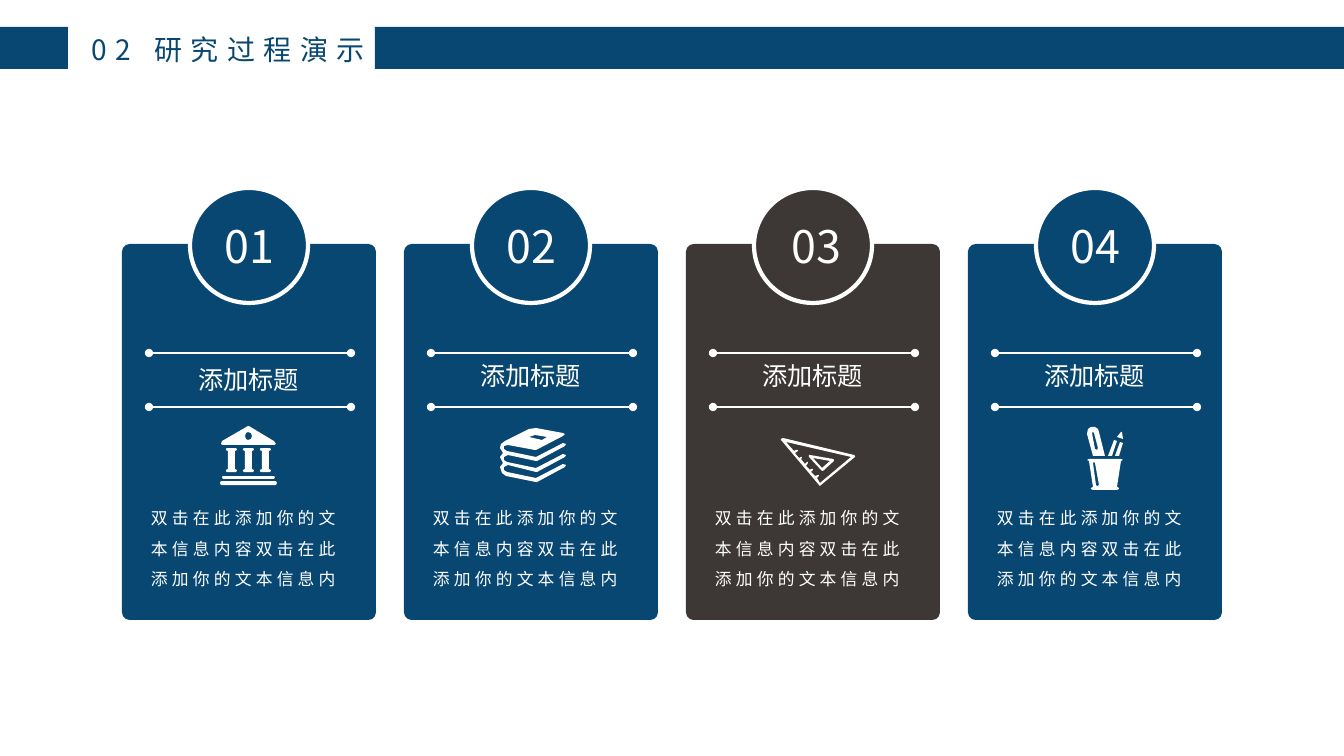
import dataclasses

import pptx
import pptx.dml.color
import pptx.enum.dml
import pptx.enum.shapes
import pptx.enum.text
import pptx.oxml.ns
import pptx.util
from lxml import etree

SLIDE_WIDTH, SLIDE_HEIGHT = 1344, 756
EMU_PER_PX = 12192000 / SLIDE_WIDTH
RGB = pptx.dml.color.RGBColor.from_string
SHAPE = pptx.enum.shapes.MSO_SHAPE
ALIGN = pptx.enum.text.PP_ALIGN
ANCHOR = pptx.enum.text.MSO_ANCHOR


@dataclasses.dataclass(frozen=True)
class Theme:
    blue: str = "084772"
    brown: str = "3D3836"
    white: str = "FFFFFF"
    font: str = "Noto Sans CJK SC"
    header_size: int = 20
    number_size: int = 32
    title_size: int = 18
    body_size: int = 12
    rule_width: float = 1.5
    ring_width: int = 3


THEME = Theme()
BODY = "双击在此添加你的文本信息内容双击在此添加你的文本信息内"


def shifted(outline, dx):
    return [(x + dx, y) for x, y in outline]


def slab(left, top, right, bottom):
    middle = (top + bottom) / 2
    return [(left, middle), (left + 1, top), (right - 1, top),
            (right, middle), (right - 1, bottom), (left + 1, bottom)]


COLUMN = [(0, 24), (1, 23), (10, 23), (11, 24), (11, 25), (9, 26), (9, 44), (11, 45),
          (11, 46), (10, 47), (1, 47), (0, 46), (0, 45), (2, 44), (2, 26), (0, 25)]
BANK = [
    slab(0, 56, 57, 60),
    slab(2, 51, 55, 54),
    [(1, 19), (2, 16), (28, 1), (29, 1), (54, 16), (56, 19), (54, 20), (3, 20)],
    [(25, 11), (26, 8), (28, 7), (31, 8), (32, 11), (31, 14), (28, 15), (26, 14)],
    *[shifted(COLUMN, dx) for dx in (6, 23, 40)],
]
BOOKS = [
    [(36, 44), (37, 44), (65, 29), (66, 27), (63, 26), (36, 40), (7, 34), (4, 32),
     (4, 29), (8, 27), (36, 33), (37, 33), (65, 18), (66, 16), (63, 15), (36, 29),
     (7, 23), (4, 21), (4, 18), (8, 17), (35, 22), (36, 22), (63, 8), (65, 6),
     (63, 5), (36, 0), (29, 1), (5, 13), (1, 16), (0, 20), (3, 25), (0, 29),
     (3, 35), (0, 39), (2, 45), (6, 48), (36, 54), (37, 54), (65, 39), (66, 37),
     (63, 36), (36, 50), (7, 44), (4, 42), (4, 39), (8, 37)],
    [(35, 7), (47, 9), (42, 12), (29, 9)],
]
SET_SQUARE = [
    [(74, 18), (73, 17), (2, 0), (0, 1), (0, 2), (38, 47), (39, 48), (40, 47), (74, 19)],
    [(39, 45), (36, 40), (38, 38), (38, 37), (37, 37), (34, 38), (30, 34), (32, 32),
     (32, 31), (30, 31), (29, 32), (25, 28), (27, 25), (27, 24), (26, 24), (24, 26),
     (20, 21), (21, 20), (21, 19), (20, 19), (18, 20), (14, 15), (17, 13), (17, 12),
     (15, 12), (13, 13), (5, 4), (70, 19)],
    [(40, 32), (41, 33), (42, 33), (53, 23), (53, 22), (52, 21), (29, 17), (28, 17), (28, 19)],
    [(49, 23), (41, 30), (32, 20)],
]
PEN_CUP = [
    [(33, 16), (36, 17), (32, 30), (28, 30)],
    [(35, 6), (34, 6), (30, 11), (36, 13)],
    [(25, 30), (30, 15), (27, 14), (21, 30)],
    [(0, 8), (1, 3), (4, 1), (8, 1), (11, 3), (12, 6), (18, 30), (6, 30)],
    [(5, 7), (8, 23), (10, 24), (11, 22), (7, 7), (6, 6)],
    [(34, 33), (2, 33), (0, 34), (2, 35), (6, 61), (4, 62), (4, 63), (6, 64),
     (30, 64), (32, 63), (32, 62), (30, 61), (34, 35), (36, 34)],
    [(10, 60), (9, 59), (6, 37), (7, 36), (8, 37), (12, 59), (11, 60)],
]


@dataclasses.dataclass(frozen=True)
class Card:
    number: str
    icon: list
    icon_left: int
    icon_top: int
    color: str = THEME.blue
    title_top: int = 111
    number_left: int = 92


CARDS = [
    Card("01", BANK, 98, 181, title_top=115),
    Card("02", BOOKS, 96, 184),
    Card("03", SET_SQUARE, 95, 194, color=THEME.brown, number_left=95),
    Card("04", PEN_CUP, 119, 182),
]


def px(length):
    return round(length * EMU_PER_PX)


def add_xml(parent, tag, **attributes):
    return etree.SubElement(parent, pptx.oxml.ns.qn(tag), attributes)


def set_values(target, values):
    for name, value in values.items():
        setattr(target, name, value)


def paint(shape, color, ring=False):
    shape.shadow.inherit = False
    shape.fill.solid()
    shape.fill.fore_color.rgb = RGB(color)
    if ring:
        shape.line.color.rgb = RGB(THEME.white)
        shape.line.width = pptx.util.Pt(THEME.ring_width)
    else:
        shape.line.fill.background()


def add_panel(shapes, kind, box, color, ring=False):
    panel = shapes.add_shape(kind, *map(px, box))
    paint(panel, color, ring)
    return panel


def write(holder, text, size, color, spacing=0, frame_format=None, paragraph_format=None):
    """Fill a text holder with one paragraph; spacing is in points between letters."""
    frame = holder.text_frame
    set_values(frame, {"word_wrap": True, "vertical_anchor": ANCHOR.TOP,
                       "auto_size": pptx.enum.text.MSO_AUTO_SIZE.SHAPE_TO_FIT_TEXT,
                       **(frame_format or {})})
    paragraph = frame.paragraphs[0]
    set_values(paragraph, paragraph_format or {})
    run = paragraph.add_run()
    run.text = text
    set_values(run.font, {"size": pptx.util.Pt(size), "name": THEME.font})
    run.font.color.rgb = RGB(color)
    properties = run.font._element
    add_xml(properties, "a:ea", typeface=THEME.font)
    if spacing:
        properties.set("spc", str(spacing * 100))


def add_label(shapes, box, text, size, **options):
    write(shapes.add_textbox(*map(px, box)), text, size, THEME.white, **options)


def add_dotted_rule(shapes, left, right, y):
    """Draw a level line with a round dot at each end."""
    rule = shapes.add_connector(pptx.enum.shapes.MSO_CONNECTOR.STRAIGHT,
                                px(left), px(y), px(right), px(y))
    rule.line.color.rgb = RGB(THEME.white)
    rule.line.width = pptx.util.Pt(THEME.rule_width)
    for end in ("a:headEnd", "a:tailEnd"):
        add_xml(rule.line._get_or_add_ln(), end, type="oval")
    add_xml(rule._element.spPr, "a:effectLst")


def add_icon(shapes, left, top, outlines):
    builder = shapes.build_freeform(*outlines[0][0], scale=EMU_PER_PX)
    for outline in outlines:
        if outline is not outlines[0]:
            builder.move_to(*outline[0])
        builder.add_line_segments(outline[1:], close=True)
    paint(builder.convert_to_shape(px(left), px(top)), THEME.white)


def add_card(slide, card, left, top, width, height):
    shapes = slide.shapes.add_group_shape().shapes
    centered = {"alignment": ALIGN.CENTER}
    panel = add_panel(shapes, SHAPE.ROUNDED_RECTANGLE, (left, top, width, height), card.color)
    panel.adjustments[0] = 0.03
    for rule_top in (109, 163):
        add_dotted_rule(shapes, left + 27, left + width - 25, top + rule_top)
    add_label(shapes, (left + 19, top + 249, 214, 98), BODY, THEME.body_size,
              spacing=3, paragraph_format={"line_spacing": 1.5})
    add_label(shapes, (left + 8, top + card.title_top, 237, 40), "添加标题",
              THEME.title_size, paragraph_format=centered)
    add_panel(shapes, SHAPE.OVAL, (left + 68, top - 56, 118, 115), card.color, ring=True)
    add_label(shapes, (left + card.number_left, top - 31, 71, 65), card.number,
              THEME.number_size, paragraph_format=centered,
              frame_format={"word_wrap": False, "vertical_anchor": ANCHOR.MIDDLE})
    add_icon(shapes, left + card.icon_left, top + card.icon_top, card.icon)


def add_header(slide, left, top, width, height):
    title_left, title_width = left + 68, 307
    title_right = title_left + title_width
    for bar_left, bar_right in ((left, title_left), (title_right, left + width)):
        add_panel(slide.shapes, SHAPE.RECTANGLE,
                  (bar_left, top, bar_right - bar_left, height), THEME.blue)
    title = slide.shapes.title
    set_values(title, {"left": px(title_left), "top": px(top),
                       "width": px(title_width), "height": px(44)})
    write(title, "02 研究过程演示", THEME.header_size, THEME.blue, spacing=6,
          frame_format={"word_wrap": False}, paragraph_format={"alignment": ALIGN.RIGHT})


def main():
    deck = pptx.Presentation()
    set_values(deck, {"slide_width": px(SLIDE_WIDTH), "slide_height": px(SLIDE_HEIGHT)})
    slide = deck.slides.add_slide(deck.slide_layouts.get_by_name("Title Only"))
    add_header(slide, 0, 27, SLIDE_WIDTH, 42)
    card_width, gap = 254, 28
    for index, card in enumerate(CARDS):
        add_card(slide, card, 122 + index * (card_width + gap), 244, card_width, 376)
    deck.save("out.pptx")


if __name__ == "__main__":
    main()
